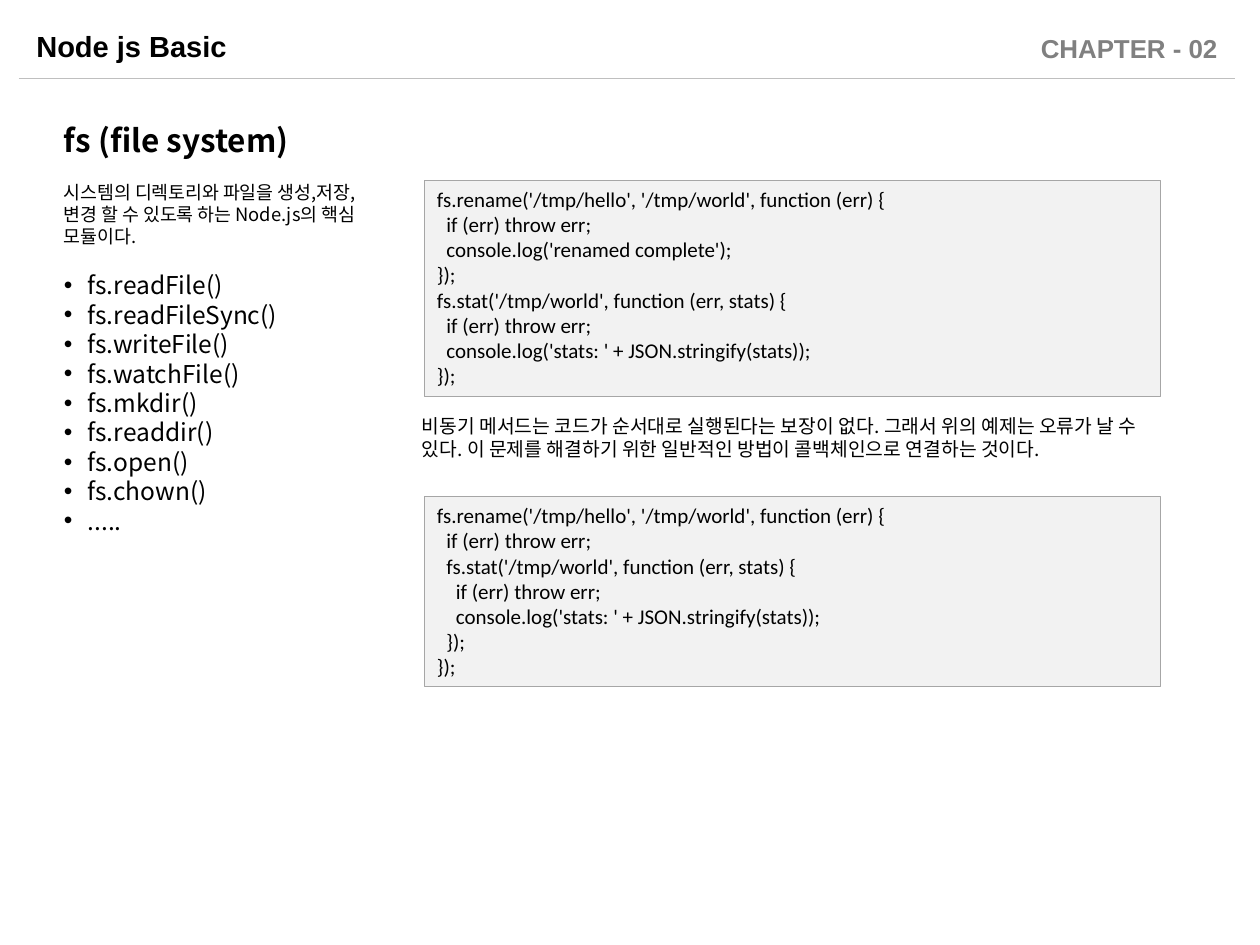
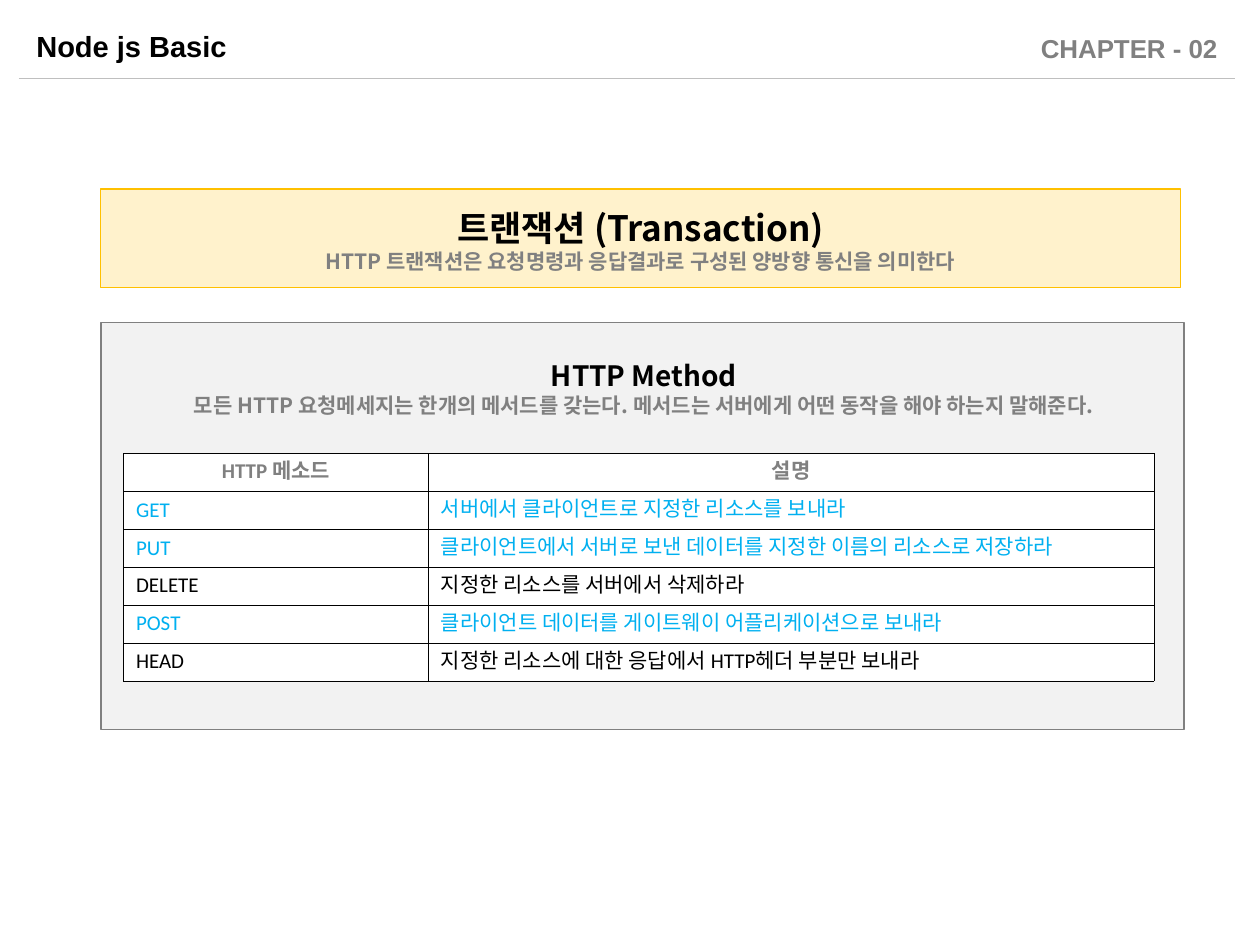
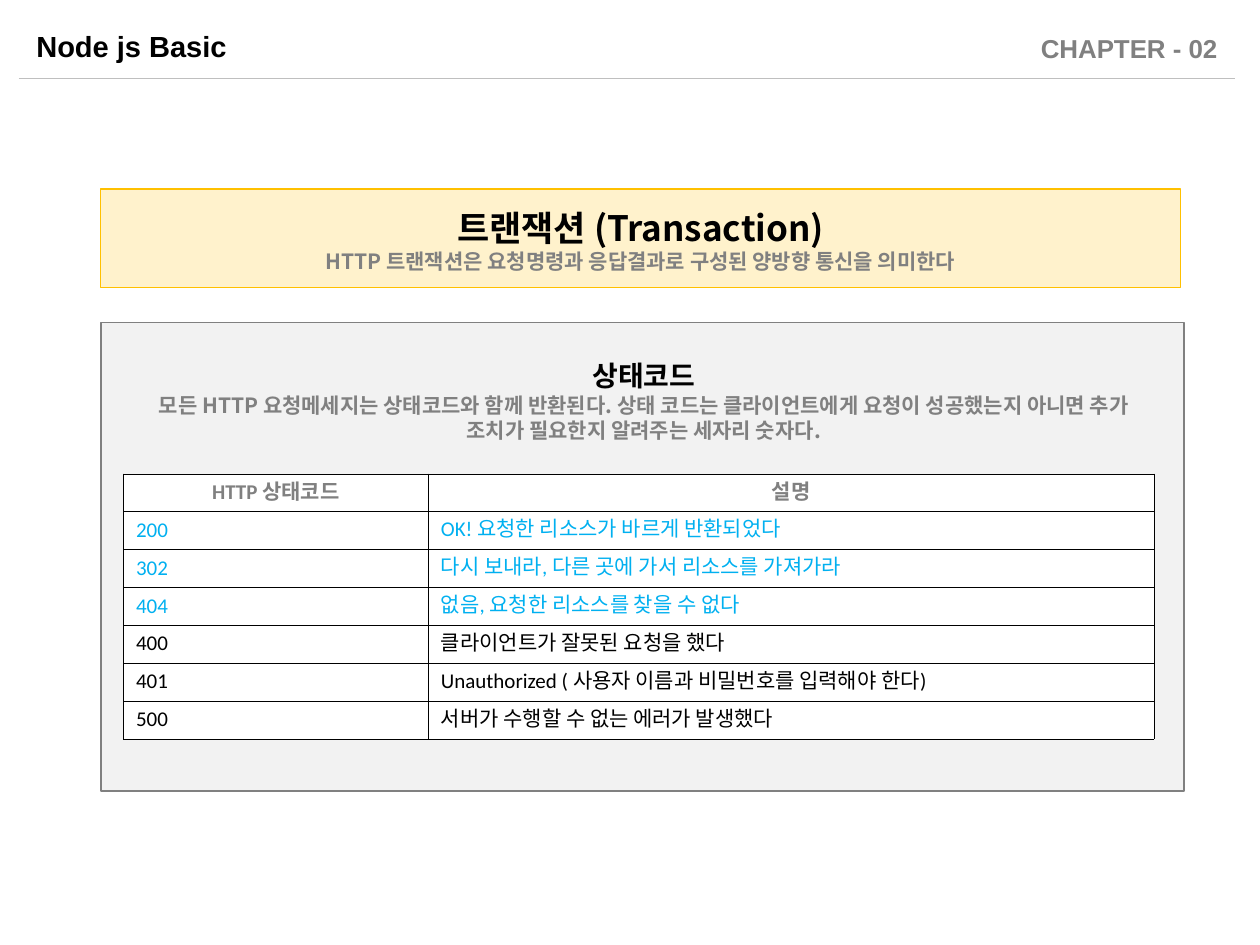
import pptx
import pptx.util
import pptx.dml.color
import pptx.enum.shapes
import pptx.enum.text
import pptx.oxml
import pptx.oxml.ns
from lxml import etree

Pt = pptx.util.Pt
RGBColor = pptx.dml.color.RGBColor
Align = pptx.enum.text.PP_ALIGN
qn = pptx.oxml.ns.qn

BLACK = RGBColor(0, 0, 0)
WHITE = RGBColor(255, 255, 255)
GRAY = RGBColor(0x80, 0x80, 0x80)
RULE = RGBColor(0xBF, 0xBF, 0xBF)
EDGE = RGBColor(0xA6, 0xA6, 0xA6)
PALE = RGBColor(0xF2, 0xF2, 0xF2)
CREAM = RGBColor(0xFF, 0xF2, 0xCC)
GOLD = RGBColor(0xFF, 0xC0, 0)
BLUE = RGBColor(0, 0xB0, 0xF0)

HEAD = "Arial"
CODE = "Calibri"
BODY = "Noto Sans CJK KR"

WIDE = pptx.util.Inches(10)
HIGH = pptx.util.Inches(7.5)
COL = WIDE // 20
ROW = HIGH // 15
LEAD = 1.2
TALL = 1.28
PAD = 0.24

METHODS = [
    ("HTTP 메소드", "설명"),
    ("GET", "서버에서 클라이언트로 지정한 리소스를 보내라"),
    ("PUT", "클라이언트에서 서버로 보낸 데이터를 지정한 이름의 리소스로 저장하라"),
    ("DELETE", "지정한 리소스를 서버에서 삭제하라"),
    ("POST", "클라이언트 데이터를 게이트웨이 어플리케이션으로 보내라"),
    ("HEAD", "지정한 리소스에 대한 응답에서 HTTP헤더 부분만 보내라"),
]
CODES = [
    ("HTTP 상태코드", "설명"),
    ("200", "OK! 요청한 리소스가 바르게 반환되었다"),
    ("302", "다시 보내라, 다른 곳에 가서 리소스를 가져가라"),
    ("404", "없음, 요청한 리소스를 찾을 수 없다"),
    ("400", "클라이언트가 잘못된 요청을 했다"),
    ("401", "Unauthorized ( 사용자 이름과 비밀번호를 입력해야 한다)"),
    ("500", "서버가 수행할 수 없는 에러가 발생했다"),
]
HOT = {"GET", "PUT", "POST", "200", "302", "404"}

CALLS = ["readFile", "readFileSync", "writeFile", "watchFile",
         "mkdir", "readdir", "open", "chown"]

LOOSE = """fs.rename('/tmp/hello', '/tmp/world', function (err) {
  if (err) throw err;
  console.log('renamed complete');
});
fs.stat('/tmp/world', function (err, stats) {
  if (err) throw err;
  console.log('stats: ' + JSON.stringify(stats));
});"""
CHAIN = """fs.rename('/tmp/hello', '/tmp/world', function (err) {
  if (err) throw err;
  fs.stat('/tmp/world', function (err, stats) {
    if (err) throw err;
    console.log('stats: ' + JSON.stringify(stats));
  });
});"""


def place(x, y, w, h):
    return int(x * COL), int(y * ROW), int(w * COL), int(h * ROW)


def style(para, size, font, color=BLACK, bold=False, align=Align.LEFT, lead=None):
    para.alignment = align
    if lead:
        para.line_spacing = Pt(round(size * lead, 1))
    for run in para.runs:
        run.font.size = Pt(size)
        run.font.name = font
        run.font.bold = bold
        run.font.color.rgb = color
        if font == BODY:
            latin = run.font._element.find(qn("a:latin"))
            east = etree.Element(qn("a:ea"), typeface=font)
            latin.addnext(east)


def bullet(para):
    props = para._p.get_or_add_pPr()
    props.set("marL", str(Pt(13.5)))
    props.set("indent", str(-Pt(13.5)))
    etree.SubElement(props, qn("a:buFont"), typeface="Arial")
    etree.SubElement(props, qn("a:buChar"), char="•")


def setup(shape, text, pad=0.1):
    frame = shape.text_frame
    frame.word_wrap = True
    frame.vertical_anchor = pptx.enum.text.MSO_ANCHOR.TOP
    frame.margin_top = frame.margin_bottom = int(pad * ROW)
    frame.text = text
    return frame.paragraphs


def label(slide, spot, text, pad=0.1):
    return setup(slide.shapes.add_textbox(*place(*spot)), text, pad)


def box(slide, spot, fill, edge, width):
    kind = pptx.enum.shapes.MSO_SHAPE.RECTANGLE
    shape = slide.shapes.add_shape(kind, *place(*spot))
    shape.shadow.inherit = False
    shape.fill.solid()
    shape.fill.fore_color.rgb = fill
    shape.line.color.rgb = edge
    shape.line.width = Pt(width)
    return shape


def rule(slide, left, right, y):
    kind = pptx.enum.shapes.MSO_CONNECTOR.STRAIGHT
    line = slide.shapes.add_connector(
        kind, int(left * COL), int(y * ROW), int(right * COL), int(y * ROW))
    line.line.color.rgb = RULE
    line.line.width = Pt(0.5)
    etree.SubElement(line._element.spPr, qn("a:effectLst"))


def start(deck):
    slide = deck.slides.add_slide(deck.slide_layouts[6])
    title = label(slide, (0.38, 0.36, 10.16, 0.76), "Node js Basic")
    style(title[0], 16.6, HEAD, bold=True)
    part = label(slide, (15.5, 0.42, 4.02, 0.7), "CHAPTER - 02")
    style(part[0], 14.8, HEAD, GRAY, True, Align.RIGHT)
    rule(slide, 0.3, 19.6, 1.24)
    return slide


def listing(slide, y, h, text):
    shape = box(slide, (6.74, y, 11.68, h), PALE, EDGE, 0.75)
    for para in setup(shape, text):
        style(para, 12, CODE)


def pair(paras, size):
    style(paras[0], size, BODY, BLACK, True, Align.CENTER, TALL)
    style(paras[1], 12, BODY, GRAY, True, Align.CENTER, LEAD)


def border(cell):
    props = cell._tc.get_or_add_tcPr()
    for rank, side in enumerate(("lnL", "lnR", "lnT", "lnB")):
        line = etree.Element(qn("a:" + side), w=str(Pt(0.25)))
        fill = etree.SubElement(line, qn("a:solidFill"))
        etree.SubElement(fill, qn("a:srgbClr"), val=str(BLACK))
        props.insert(rank, line)


def grid(slide, y, rows):
    spot = place(1.96, y, 16.36, 0.6 * len(rows))
    table = slide.shapes.add_table(len(rows), 2, *spot).table
    table.first_row = table.horz_banding = False
    for col, width in zip(table.columns, (4.84, 11.52)):
        col.width = int(width * COL)
    for r, row in enumerate(rows):
        for c, text in enumerate(row):
            cell = table.cell(r, c)
            cell.text = text
            cell.fill.solid()
            cell.fill.fore_color.rgb = WHITE
            border(cell)
            para = cell.text_frame.paragraphs[0]
            if r == 0:
                style(para, 12, CODE, GRAY, True, Align.CENTER, LEAD)
            else:
                color = BLUE if row[0] in HOT else BLACK
                style(para, 12, CODE, color, lead=LEAD)


def files(deck):
    slide = start(deck)
    intro = "시스템의 디렉토리와 파일을 생성,저장,변경 할 수 있도록 하는 Node.js의 핵심 모듈이다."
    items = [f"fs.{call}()" for call in CALLS] + ["....."]
    paras = label(slide, (0.82, 1.78, 5.2, 6.82),
                  "\n".join(["fs (file system)", intro] + items))
    style(paras[0], 18, BODY, bold=True, lead=TALL)
    style(paras[1], 10.5, BODY, lead=LEAD)
    paras[1].space_before = paras[1].space_after = Pt(13)
    for para in paras[2:]:
        style(para, 14, BODY, lead=LEAD)
        bullet(para)
    note = label(slide, (6.5, 6.48, 11.92, 0.94),
                 "비동기 메서드는 코드가 순서대로 실행된다는 보장이 없다. "
                 "그래서 위의 예제는 오류가 날 수 있다. "
                 "이 문제를 해결하기 위한 일반적인 방법이 콜백체인으로 연결하는 것이다.")
    style(note[0], 11, BODY, lead=LEAD)
    listing(slide, 2.86, 3.44, LOOSE)
    listing(slide, 7.88, 3.02, CHAIN)


def topic(deck, high, name, text, depth, top, rows):
    slide = start(deck)
    box(slide, (1.6, 5.12, 17.2, high), PALE, GRAY, 1)
    band = box(slide, (1.6, 3, 17.14, 1.56), CREAM, GOLD, 0.75)
    pair(setup(band, "트랜잭션 (Transaction)\n"
               "HTTP 트랜잭션은 요청명령과 응답결과로 구성된 양방향 통신을 의미한다", PAD), 20)
    pair(label(slide, (1.88, 5.42, 16.68, depth), name + "\n" + text, PAD), 16)
    grid(slide, top, rows)


def main():
    deck = pptx.Presentation()
    deck.slide_width, deck.slide_height = WIDE, HIGH
    files(deck)
    topic(deck, 6.46, "HTTP Method",
          "모든 HTTP 요청메세지는 한개의 메서드를 갖는다. "
          "메서드는 서버에게 어떤 동작을 해야 하는지 말해준다.",
          1.42, 7.2, METHODS)
    topic(deck, 7.44, "상태코드",
          "모든 HTTP 요청메세지는 상태코드와 함께 반환된다. "
          "상태 코드는 클라이언트에게 요청이 성공했는지 아니면 추가 조치가 "
          "필요한지 알려주는 세자리 숫자다.",
          1.82, 7.52, CODES)
    deck.save("out.pptx")


if __name__ == "__main__":
    main()
